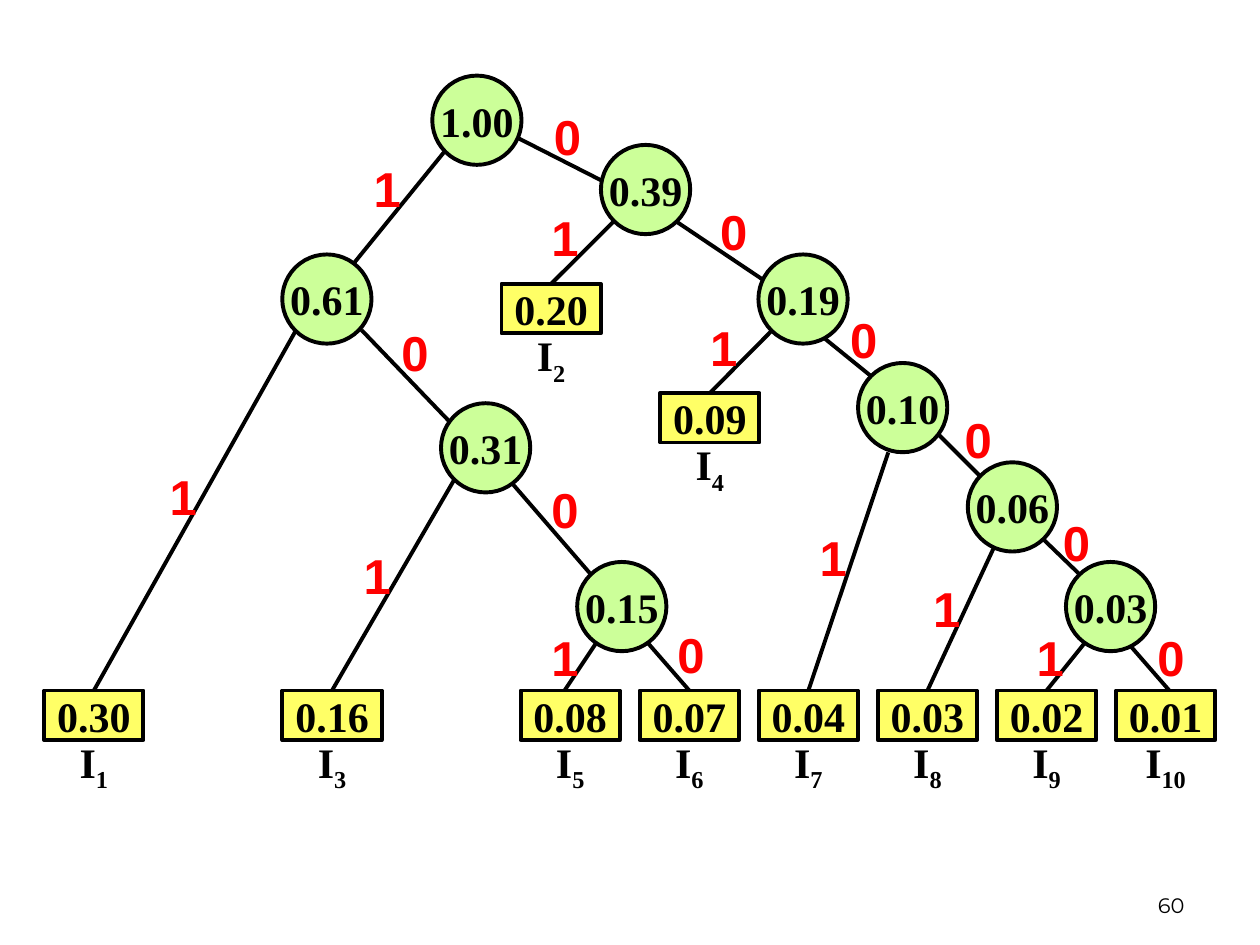
from lxml.etree import SubElement
from pptx import Presentation
from pptx.dml.color import RGBColor
from pptx.enum.shapes import MSO_CONNECTOR as Connector, MSO_SHAPE as Shape
from pptx.enum.text import MSO_ANCHOR as Anchor, MSO_AUTO_SIZE as AutoSize, PP_ALIGN as Align
from pptx.oxml.ns import qn
from pptx.util import Pt

LEAF_W, LEAF_H = 56.7, 28.35
NODE_SIZE = 51
DIGIT_W, DIGIT_H = 51, 41
ROW_LEFT, ROW_TOP, ROW_STEP = 25.3, 394.6, 68.05


def color(value):
    return RGBColor.from_string(value)


class TreeSlide:
    serif, sans, number_font = "Times New Roman", "Arial", "Montserrat"
    black, red, green, yellow = "000000", "FF0000", "CCFF99", "FFFF66"
    line_width = 2.25

    def __init__(self, page):
        self.page = page

    def add_text(self, box, text, subscript="", font=serif, size=24, ink=black,
                 bold=True, align=Align.CENTER, anchor=Anchor.MIDDLE, wrap=False):
        frame = box.text_frame
        frame.word_wrap = wrap
        frame.vertical_anchor = anchor
        para = frame.paragraphs[0]
        para.alignment = align
        for part, baseline in ((text, 0), (subscript, -25000)):
            if not part:
                continue
            span = para.add_run()
            span.text = part
            span.font.name = font
            span.font.size = Pt(size)
            span.font.bold = bold
            span.font.color.rgb = color(ink)
            if baseline:
                span._r.get_or_add_rPr().set("baseline", str(baseline))

    def text_box(self, left, top, width, height, text, **style):
        box = self.page.shapes.add_textbox(Pt(left), Pt(top), Pt(width), Pt(height))
        self.add_text(box, text, **style)
        return box

    def outlined(self, kind, left, top, width, height, fill, text):
        box = self.page.shapes.add_shape(kind, Pt(left), Pt(top), Pt(width), Pt(height))
        box.shadow.inherit = False
        box.fill.solid()
        box.fill.fore_color.rgb = color(fill)
        box.line.color.rgb = color(self.black)
        box.line.width = Pt(self.line_width)
        self.add_text(box, text)
        return box

    def leaf(self, left, top, value, index):
        box = self.outlined(Shape.RECTANGLE, left, top, LEAF_W, LEAF_H, self.yellow, value)
        self.text_box(left, top + LEAF_H, LEAF_W, LEAF_H, "I", subscript=str(index))
        return box

    def node(self, left, top, value):
        self.outlined(Shape.OVAL, left, top, NODE_SIZE, NODE_SIZE, self.green, value)

    def branch(self, start, end, leaf=None):
        line = self.page.shapes.add_connector(
            Connector.STRAIGHT, *(Pt(length) for length in start + end))
        line.line.color.rgb = color(self.black)
        line.line.width = Pt(self.line_width)
        SubElement(line._element.spPr, qn("a:effectLst"))
        if leaf is not None:
            line.end_connect(leaf, 0)

    def digit(self, left, top, text):
        box = self.text_box(left, top, DIGIT_W, DIGIT_H, text, font=self.sans, size=28,
                            ink=self.red, anchor=Anchor.TOP, wrap=True)
        box.text_frame.auto_size = AutoSize.SHAPE_TO_FIT_TEXT

    def slide_number(self, text):
        self.text_box(516, 492, 168, 36, text, font=self.number_font, size=12, bold=False,
                      align=Align.RIGHT, anchor=Anchor.BOTTOM, wrap=True)


# Bottom row: symbol index, column, probability
ROW_LEAVES = [(1, 0, "0.30"), (3, 2, "0.16"), (5, 4, "0.08"), (6, 5, "0.07"),
              (7, 6, "0.04"), (8, 7, "0.03"), (9, 8, "0.02"), (10, 9, "0.01")]
# Leaves higher in the tree: symbol index, left, top, probability
HIGH_LEAVES = [(2, 286.6, 162.2, "0.20"), (4, 377.3, 224.6, "0.09")]

NODES = [(609.1, 321.1, "0.03"), (553, 264.2, "0.06"), (490.3, 207.4, "0.10"),
         (252, 230.4, "0.31"), (329.8, 321.1, "0.15"), (343.4, 82.8, "0.39"),
         (161.3, 145.4, "0.61"), (247, 43.2, "1.00"), (433.4, 145.4, "0.19")]

# Code digit, its place, branch start, branch end (a point or a leaf index)
BRANCHES = [
    ("1", (195.8, 87.1), (254.2, 86.4), (201.6, 151.2)),
    ("0", (298.8, 57.6), (292.3, 77), (343.4, 103)),
    ("1", (297.4, 115.2), (350.6, 126.7), 2),
    ("0", (393.8, 111.6), (386.6, 126.7), (439.2, 162)),
    ("1", (79.2, 262.8), (169.2, 188.6), 1),
    ("0", (211.7, 180.7), (206.6, 188.6), (257.8, 241.9)),
    ("1", (388.1, 177.8), (441.4, 188.6), 4),
    ("0", (468, 173.5), (468, 190.8), (498.2, 215.3)),
    ("1", (190.1, 308.2), (259.9, 273.6), 3),
    ("0", (297.4, 270.7), (292.3, 275.8), (337.7, 328.3)),
    ("1", (450.7, 298.1), (507.6, 258.5), 7),
    ("0", (533.5, 230.4), (535.7, 247.7), (560.2, 272.2)),
    ("1", (515.5, 326.9), (569.5, 309.6), 8),
    ("0", (589.7, 289.4), (596.2, 308.2), (617, 328.3)),
    ("1", (297.4, 355), (341.3, 366.5), (322.6, 394.6)),
    ("0", (369.4, 353.5), (369.4, 366.5), 6),
    ("1", (574.6, 355), (620.6, 366.5), 9),
    ("0", (643.7, 355), (643.7, 366.5), (668.2, 394.6)),
]


def main():
    deck = Presentation()
    deck.slide_width, deck.slide_height = Pt(720), Pt(540)
    tree = TreeSlide(deck.slides.add_slide(deck.slide_layouts[6]))
    tree.slide_number("60")

    # Leaves with their symbols
    leaves = {}
    for index, column, value in ROW_LEAVES:
        leaves[index] = tree.leaf(ROW_LEFT + column * ROW_STEP, ROW_TOP, value, index)
    for index, left, top, value in HIGH_LEAVES:
        leaves[index] = tree.leaf(left, top, value, index)

    # Branches lie behind the nodes, digits in front
    for _, _, start, end in BRANCHES:
        if isinstance(end, tuple):
            tree.branch(start, end)
        else:
            tree.branch(start, start, leaves[end])
    for left, top, value in NODES:
        tree.node(left, top, value)
    for digit, place, _, _ in BRANCHES:
        tree.digit(*place, digit)

    deck.save("out.pptx")


if __name__ == "__main__":
    main()
